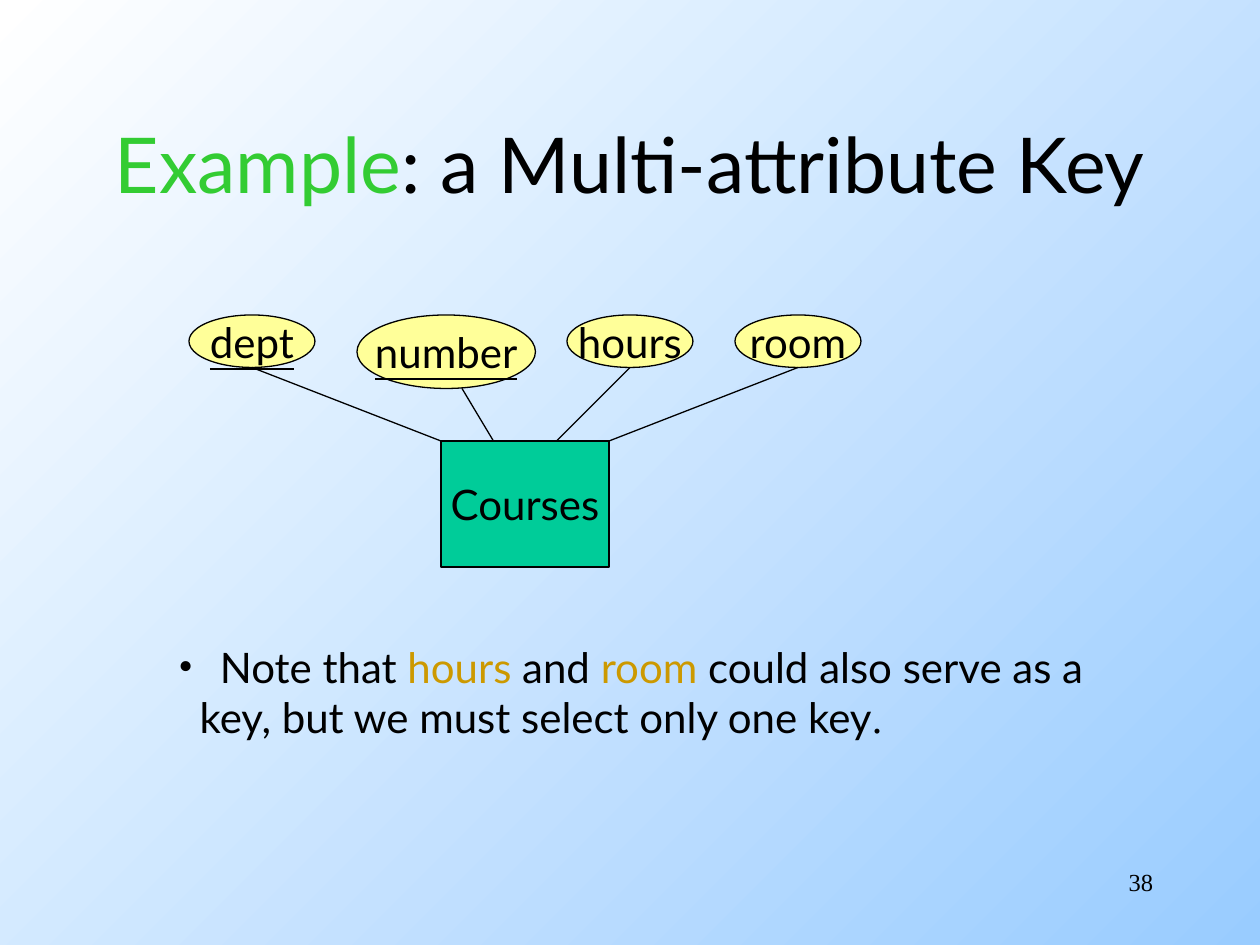
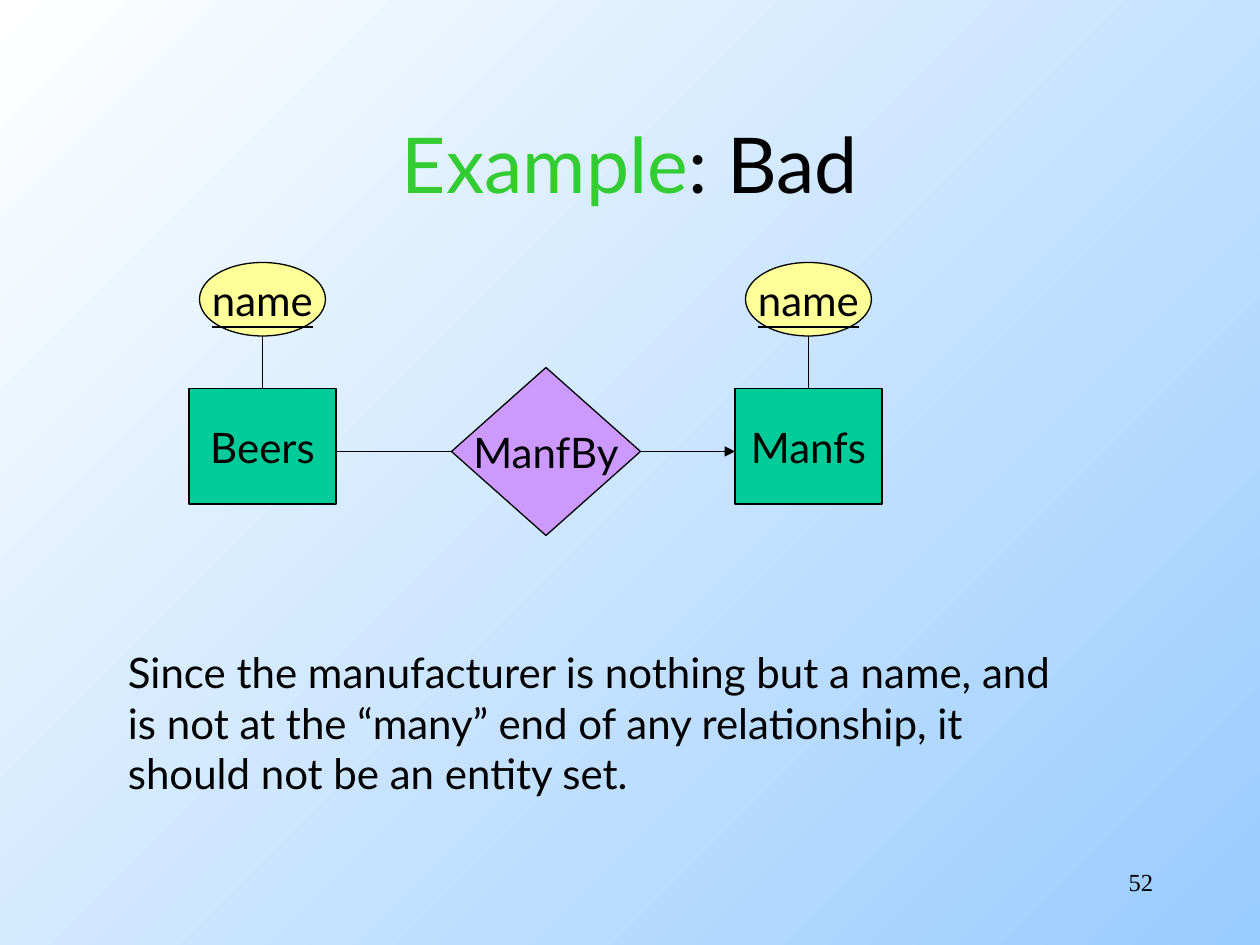
from dataclasses import dataclass
from typing import Any

from lxml import etree
from pptx import Presentation
from pptx import util as u
from pptx.dml.color import RGBColor
from pptx.enum import shapes, text
from pptx.oxml import ns

COLUMNS, ROWS = 120, 90
SANS, SERIF = "Lato", "Times New Roman"
BLACK, GREEN, GOLD = "000000", "33CC33", "CC9900"
WHITE, SKY = "FFFFFF", "99CCFF"
LINE_WIDTH = u.Pt(0.75)
OUTLINES = {
    "entity": (shapes.MSO_SHAPE.RECTANGLE, "00CC99"),
    "attribute": (shapes.MSO_SHAPE.OVAL, "FFFF99"),
    "relationship": (shapes.MSO_SHAPE.DIAMOND, "CC99FF"),
}

deck = Presentation()
deck.slide_width, deck.slide_height = u.Inches(10), u.Inches(7.5)


@dataclass(frozen=True)
class Area:
    column: float
    row: float
    columns: float
    rows: float

    def lengths(self) -> tuple[int, int, int, int]:
        return (*point(self.column, self.row), *point(self.columns, self.rows))


@dataclass(frozen=True)
class Span:
    words: str
    color: str = BLACK
    size: float = 24
    face: str = SANS
    underline: bool = False


@dataclass(frozen=True)
class Node:
    kind: str
    label: str
    area: Area
    key: bool = False


@dataclass(frozen=True)
class Link:
    start: tuple[float, float]
    end: tuple[float, float]
    arrow: bool = False


TITLE_AREA = Area(9, 8, 102, 15)
NUMBER_AREA = Area(86, 82, 25, 6)


def point(column: float, row: float) -> tuple[int, int]:
    return (round(deck.slide_width * column / COLUMNS),
            round(deck.slide_height * row / ROWS))


def rgb(color: str) -> RGBColor:
    return RGBColor.from_string(color)


def apply(target: Any, values: dict[str, Any]) -> None:
    for name, value in values.items():
        setattr(target, name, value)


def write(para: Any, spans: list[Span]) -> None:
    for span in spans:
        run = para.add_run()
        run.text = span.words
        apply(run.font, {"name": span.face, "size": u.Pt(span.size),
                         "underline": span.underline})
        run.font.color.rgb = rgb(span.color)


def add_text(page: Any, area: Area, lines: list[list[Span]],
             align: Any = text.PP_ALIGN.LEFT, **frame_values: Any) -> Any:
    frame = page.shapes.add_textbox(*area.lengths()).text_frame
    apply(frame, {"word_wrap": True, **frame_values})
    for index, spans in enumerate(lines):
        para = frame.add_paragraph() if index else frame.paragraphs[0]
        para.alignment = align
        write(para, spans)
    return frame


def add_node(page: Any, node: Node) -> None:
    outline, color = OUTLINES[node.kind]
    shape = page.shapes.add_shape(outline, *node.area.lengths())
    shape.shadow.inherit = False
    shape.fill.solid()
    shape.fill.fore_color.rgb = rgb(color)
    shape.line.color.rgb = rgb(BLACK)
    shape.line.width = LINE_WIDTH
    apply(shape.text_frame, {"word_wrap": False,
                             "vertical_anchor": text.MSO_ANCHOR.MIDDLE})
    para = shape.text_frame.paragraphs[0]
    para.alignment = text.PP_ALIGN.CENTER
    write(para, [Span(node.label, underline=node.key)])


def add_link(page: Any, link: Link) -> None:
    line = page.shapes.add_connector(
        shapes.MSO_CONNECTOR.STRAIGHT, *point(*link.start), *point(*link.end))
    line.line.color.rgb = rgb(BLACK)
    line.line.width = LINE_WIDTH
    if link.arrow:
        etree.SubElement(line.line._get_or_add_ln(), ns.qn("a:tailEnd"), type="triangle")
    etree.SubElement(line._element.spPr, ns.qn("a:effectLst"))


def indent(para: Any, margin: float, first: float = 0, bullet: str = "") -> None:
    properties = para._p.get_or_add_pPr()
    properties.set("marL", str(u.Inches(margin)))
    properties.set("indent", str(u.Inches(first)))
    if bullet:
        etree.SubElement(properties, ns.qn("a:buFont"), typeface=SERIF)
        etree.SubElement(properties, ns.qn("a:buChar"), char=bullet)


def add_page(number: int, subject: str, nodes: list[Node], links: list[Link]) -> Any:
    page = deck.slides.add_slide(deck.slide_layouts[6])
    add_text(page, NUMBER_AREA, [[Span(str(number), size=14, face=SERIF)]],
             text.PP_ALIGN.RIGHT)
    add_text(page, TITLE_AREA,
             [[Span("Example", GREEN, 44), Span(f": {subject}", size=44)]],
             text.PP_ALIGN.CENTER, vertical_anchor=text.MSO_ANCHOR.MIDDLE)
    for node in nodes:
        add_node(page, node)
    for link in links:
        add_link(page, link)
    return page


def paint_background() -> None:
    fill = deck.slide_master.background.fill
    fill.gradient()
    fill.gradient_angle = 315
    for stop, color in zip(fill.gradient_stops, (WHITE, SKY)):
        stop.color.rgb = rgb(color)


def build_key_page() -> None:
    page = add_page(
        38, "a Multi-attribute Key",
        [Node("entity", "Courses", Area(42, 42, 16, 12)),
         Node("attribute", "dept", Area(18, 30, 12, 5), key=True),
         Node("attribute", "number", Area(34, 30, 17, 7), key=True),
         Node("attribute", "hours", Area(54, 30, 12, 5)),
         Node("attribute", "room", Area(70, 30, 12, 5))],
        [Link((24, 35), (42, 42)), Link((44, 37), (47, 42)),
         Link((60, 35), (53, 42)), Link((76, 35), (58, 42))])
    note = add_text(
        page, Area(15.8, 60.5, 88.7, 10.8),
        [[Span("Note that "), Span("hours", GOLD), Span(" and "),
          Span("room", GOLD), Span(" could also serve as a")],
         [Span("key, but we must select only one key"), Span(".", face=SERIF)]],
        word_wrap=False, auto_size=text.MSO_AUTO_SIZE.SHAPE_TO_FIT_TEXT)
    first, second = note.paragraphs
    indent(first, 0.33, -0.33, "•")
    indent(second, 0.17)


def build_bad_page() -> None:
    nodes, links = [], []
    for column, label in ((18, "Beers"), (70, "Manfs")):
        middle = column + 7
        nodes += [Node("entity", label, Area(column, 37, 14, 11)),
                  Node("attribute", "name", Area(column + 1, 25, 12, 7), key=True)]
        links.append(Link((middle, 32), (middle, 37)))
    nodes.append(Node("relationship", "ManfBy", Area(43, 35, 18, 16)))
    links += [Link((43, 43), (32, 43)), Link((61, 43), (70, 43), arrow=True)]
    page = add_page(52, "Bad", nodes, links)
    add_text(page, Area(11, 61, 90.25, 15.6),
             [[Span("Since the manufacturer is nothing but a name, and is not at "
                    "the “many” end of any relationship, it should not be an "
                    "entity set.")]],
             auto_size=text.MSO_AUTO_SIZE.SHAPE_TO_FIT_TEXT)


paint_background()
build_key_page()
build_bad_page()
deck.save("out.pptx")
